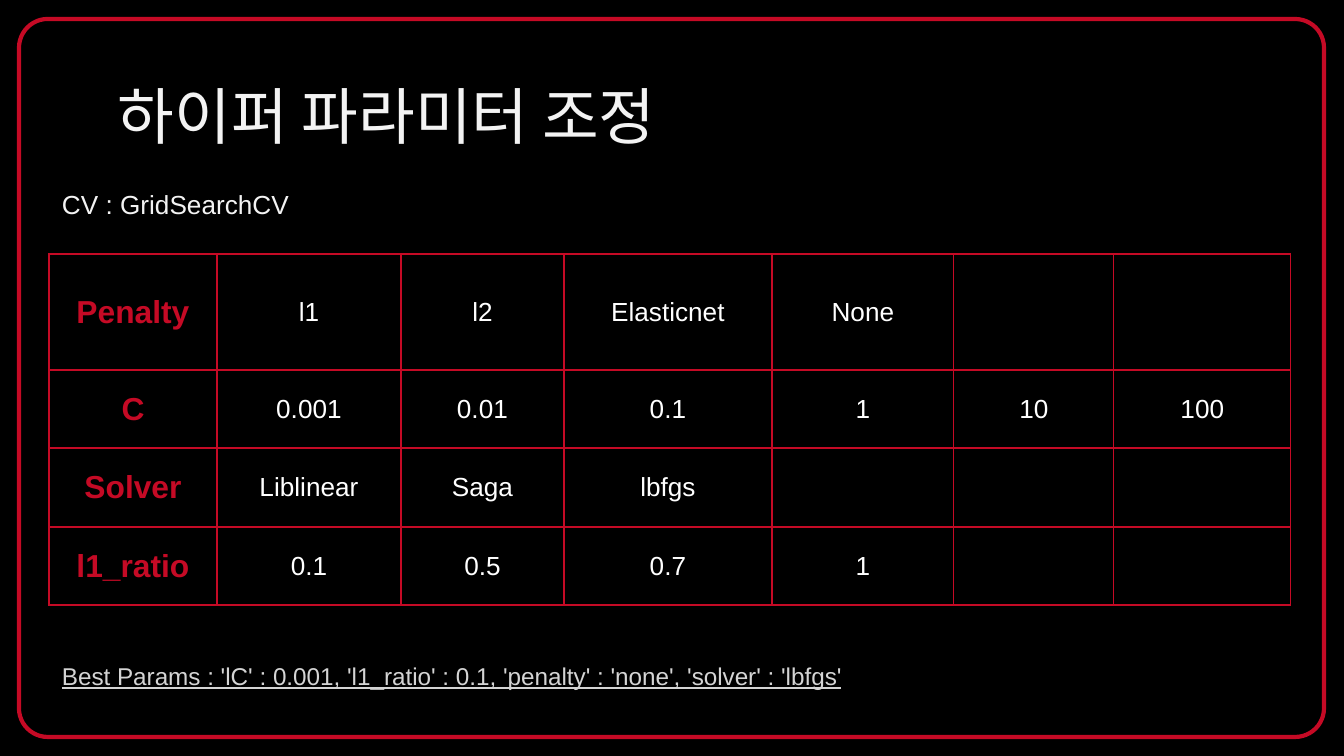
from lxml import etree
from pptx import Presentation
from pptx import util as u
from pptx.dml.color import RGBColor
from pptx.enum import shapes, text
from pptx.oxml import ns

PX = 914400 / 134.4
BLACK = RGBColor(0x00, 0x00, 0x00)
RED = RGBColor(0xC5, 0x0A, 0x25)
WHITE = RGBColor(0xFF, 0xFF, 0xFF)
PALE = RGBColor(0xF3, 0xF3, 0xF3)
GRAY = RGBColor(0xD4, 0xD4, 0xD4)

COLUMNS = [168, 184, 163, 208, 182, 160, 177]
ROWS = [116, 78, 79, 78]
GRID = [
    ["Penalty", "l1", "l2", "Elasticnet", "None"],
    ["C", "0.001", "0.01", "0.1", "1", "10", "100"],
    ["Solver", "Liblinear", "Saga", "lbfgs"],
    ["l1_ratio", "0.1", "0.5", "0.7", "1"],
]


def px(n):
    return u.Emu(round(n * PX))


def write(tf, words, size=14, color=WHITE, font="Arial", bold=False,
          underline=False, align=text.PP_ALIGN.LEFT):
    p = tf.paragraphs[0]
    p.alignment = align
    r = p.add_run()
    r.text = words
    r.font.name = font
    r.font.size = u.Pt(size)
    r.font.color.rgb = color
    r.font.bold = bold
    r.font.underline = underline


class Deck:
    def __init__(self, prs):
        self.line_color = RED
        self.inset = px(12)
        self.s = prs.slides.add_slide(prs.slide_layouts[5])
        fill = self.s.background.fill
        fill.solid()
        fill.fore_color.rgb = BLACK

    def set_frame(self, tf):
        tf.margin_left = tf.margin_right = self.inset
        tf.margin_top = tf.margin_bottom = self.inset
        tf.vertical_anchor = text.MSO_ANCHOR.TOP
        tf.word_wrap = True
        tf.auto_size = text.MSO_AUTO_SIZE.NONE

    def frame(self, x, y, w, h):
        sp = self.s.shapes.add_shape(
            shapes.MSO_SHAPE.ROUNDED_RECTANGLE, px(x), px(y), px(w), px(h))
        sp.adjustments[0] = 0.04
        sp.shadow.inherit = False
        sp.fill.background()
        sp.line.color.rgb = self.line_color
        sp.line.width = u.Pt(2.25)

    def title(self, words, x, y, w, h, **style):
        sp = self.s.shapes.title
        sp.left, sp.top, sp.width, sp.height = px(x), px(y), px(w), px(h)
        self.set_frame(sp.text_frame)
        write(sp.text_frame, words, **style)

    def label(self, words, x, y, w, h, **style):
        sp = self.s.shapes.add_textbox(px(x), px(y), px(w), px(h))
        self.set_frame(sp.text_frame)
        write(sp.text_frame, words, **style)

    def border(self, cell):
        tc_pr = cell._tc.get_or_add_tcPr()
        for i, side in enumerate(("lnL", "lnR", "lnT", "lnB")):
            ln = etree.Element(ns.qn("a:" + side), w=str(u.Pt(0.75)))
            fill = etree.SubElement(ln, ns.qn("a:solidFill"))
            etree.SubElement(fill, ns.qn("a:srgbClr"), val=str(self.line_color))
            tc_pr.insert(i, ln)

    def table(self, grid, x, y, columns, rows):
        table = self.s.shapes.add_table(
            len(rows), len(columns), px(x), px(y),
            px(sum(columns)), px(sum(rows))).table
        table.first_row = table.horz_banding = False
        for column, width in zip(table.columns, columns):
            column.width = px(width)
        for r, height in enumerate(rows):
            table.rows[r].height = px(height)
            for c in range(len(columns)):
                cell = table.cell(r, c)
                cell.fill.background()
                self.border(cell)
                cell.vertical_anchor = text.MSO_ANCHOR.MIDDLE
                cell.margin_left = cell.margin_right = self.inset
                cell.margin_top = cell.margin_bottom = self.inset
                if c < len(grid[r]):
                    head = c == 0
                    write(cell.text_frame, grid[r][c], size=17 if head else 14,
                          color=RED if head else WHITE, bold=head,
                          align=text.PP_ALIGN.CENTER)


def main():
    prs = Presentation()
    prs.slide_width, prs.slide_height = px(1344), px(756)
    deck = Deck(prs)
    deck.frame(19, 19, 1305, 718)
    deck.title("하이퍼 파라미터 조정", 106, 66, 1133, 85,
               size=33, color=PALE, font="Calibri")
    deck.table(GRID, 49, 254, COLUMNS, ROWS)
    deck.label("CV : GridSearchCV", 50, 176, 441, 59, color=PALE)
    deck.label("Best Params : 'lC' : 0.001, 'l1_ratio' : 0.1, "
               "'penalty' : 'none', 'solver' : 'lbfgs'",
               50, 649, 1013, 57, size=13, color=GRAY, underline=True)
    prs.save("out.pptx")


if __name__ == "__main__":
    main()
